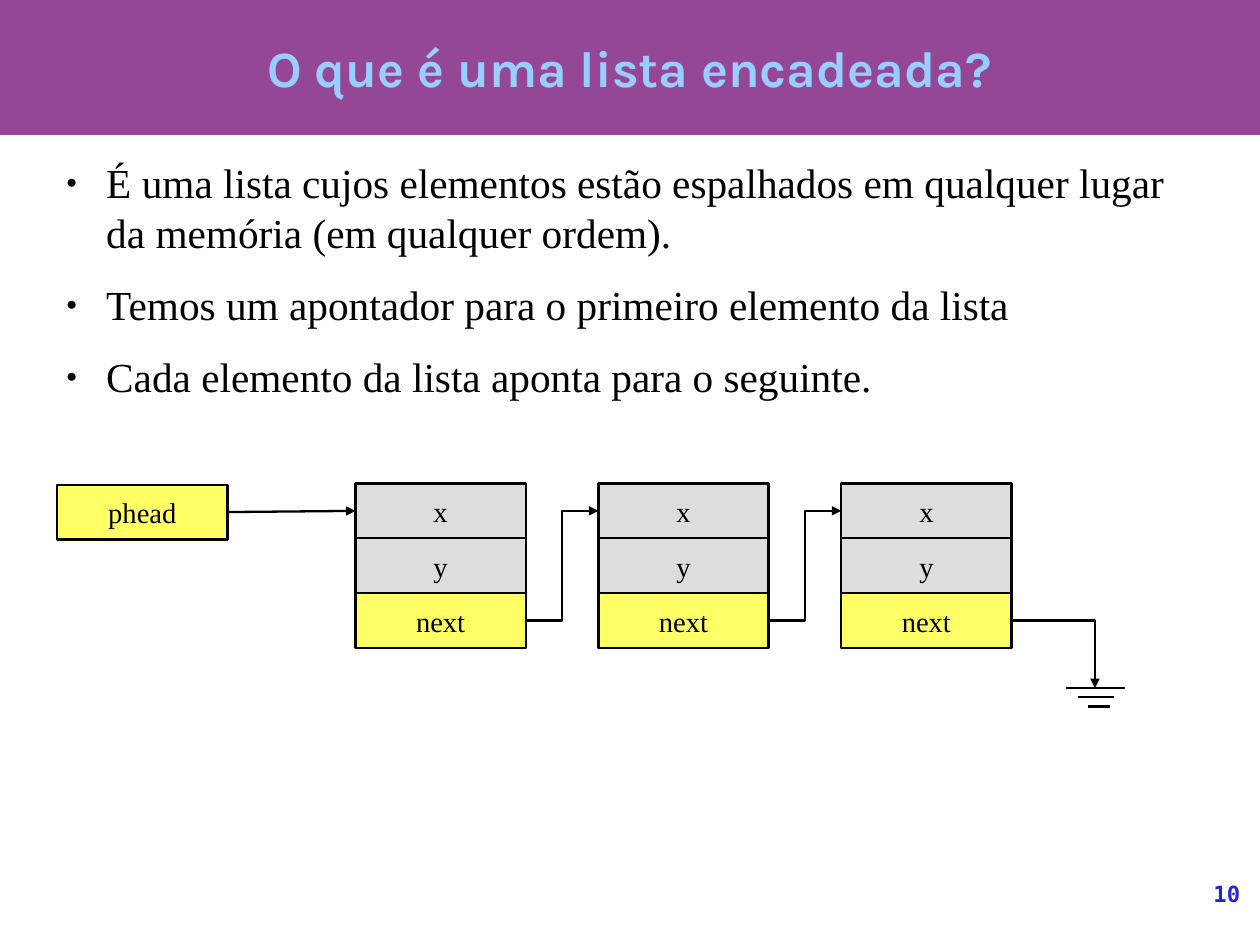
from lxml import etree
from pptx import Presentation
from pptx import util as u
from pptx.dml.color import RGBColor
from pptx.enum import shapes, text
from pptx.oxml.ns import qn

COLORS = {"band": "944794", "title": "99CCFF", "ink": "000000", "data": "DDDDDD",
          "pointer": "FFFF66", "number": "2323DC", "paper": "FFFFFF"}
SERIF = "Times New Roman"
WIDTH, HEIGHT = u.Cm(28).inches, u.Cm(21).inches
CELL_WIDTH, CELL_HEIGHT, PITCH = 1.49, 0.48, 4.25 / 2
FIELDS = [("x", "data"), ("y", "data"), ("next", "pointer")]
BULLETS = [
    "É uma lista cujos elementos estão espalhados em qualquer lugar da memória (em qualquer ordem).",
    "Temos um apontador para o primeiro elemento da lista",
    "Cada elemento da lista aponta para o seguinte.",
]


def rgb(name):
    """Return the named colour."""
    return RGBColor.from_string(COLORS[name])


def inches(*lengths):
    """Convert lengths in inches."""
    return [u.Inches(length) for length in lengths]


def style(paragraph, content, size, color, font=SERIF, bold=False, align=text.PP_ALIGN.LEFT):
    """Write a paragraph in one font."""
    paragraph.text = content
    paragraph.alignment = align
    paragraph.font.size = u.Pt(size)
    paragraph.font.name = font
    paragraph.font.bold = bold
    paragraph.font.color.rgb = rgb(color)


def add_text(slide, box):
    """Add a wrapping text box without margins and return its frame."""
    frame = slide.shapes.add_textbox(*inches(*box)).text_frame
    frame.word_wrap = True
    frame.margin_left = frame.margin_right = frame.margin_top = frame.margin_bottom = 0
    return frame


def add_box(slide, box, fill):
    """Add a flat rectangle without a line."""
    shape = slide.shapes.add_shape(shapes.MSO_SHAPE.RECTANGLE, *inches(*box))
    shape.shadow.inherit = False
    shape.fill.solid()
    shape.fill.fore_color.rgb = rgb(fill)
    shape.line.fill.background()
    return shape


def add_cell(slide, left, top, label, fill):
    """Add one labelled memory cell."""
    shape = add_box(slide, (left, top, CELL_WIDTH, CELL_HEIGHT), fill)
    shape.line.color.rgb = rgb("ink")
    shape.line.width = u.Pt(1.45)
    shape.text_frame.word_wrap = False
    shape.text_frame.vertical_anchor = text.MSO_ANCHOR.MIDDLE
    style(shape.text_frame.paragraphs[0], label, 18, "ink", align=text.PP_ALIGN.CENTER)


def add_line(slide, start, end, preset="line", arrow=True):
    """Add a straight or bent line, with an arrowhead at its end if wanted."""
    kind = shapes.MSO_CONNECTOR.STRAIGHT if preset == "line" else shapes.MSO_CONNECTOR.ELBOW
    connector = slide.shapes.add_connector(kind, *inches(*start, *end))
    connector.line.color.rgb = rgb("ink")
    connector.line.width = u.Pt(1.45)
    properties = connector._element.spPr
    properties.find(qn("a:prstGeom")).set("prst", preset)
    if arrow:
        etree.SubElement(properties.find(qn("a:ln")), qn("a:tailEnd"), type="triangle")
    etree.SubElement(properties, qn("a:effectLst"))


def add_header(slide, box):
    """Draw the title band."""
    left, top, width, height = box
    add_box(slide, box, "band")
    frame = add_text(slide, (left + width * 0.05, top, width * 0.9, height))
    frame.vertical_anchor = text.MSO_ANCHOR.MIDDLE
    style(frame.paragraphs[0], "O que é uma lista encadeada?", 32, "title", "Karla", True,
          text.PP_ALIGN.CENTER)


def add_bullets(slide, box):
    """Write the bulleted statements."""
    frame = add_text(slide, box)
    for index, content in enumerate(BULLETS):
        paragraph = frame.add_paragraph() if index else frame.paragraphs[0]
        style(paragraph, content, 26, "ink")
        paragraph.space_after = u.Pt(14.2)
        properties = paragraph._p.get_or_add_pPr()
        properties.set("marL", str(u.Inches(0.47)))
        properties.set("indent", str(u.Inches(-0.35)))
        size = etree.Element(qn("a:buSzPct"), val="45000")
        font = etree.Element(qn("a:buFont"), typeface=SERIF)
        bullet = etree.Element(qn("a:buChar"), char="●")
        properties.find(qn("a:spcAft")).addnext(size)
        size.addnext(font)
        font.addnext(bullet)


def add_ground(slide, left, top):
    """Draw the ground symbol that ends the list."""
    for row, (start, end) in enumerate([(0, 0.51), (0.1, 0.42), (0.19, 0.38)]):
        level = top + row * 0.08
        add_line(slide, (left + start, level), (left + end, level), arrow=False)


def add_linked_list(slide, box):
    """Draw the head pointer, three nodes and the ground."""
    left, top, width, height = box
    first = left + 2.61
    entry = top + CELL_HEIGHT / 2
    leave = entry + 2 * CELL_HEIGHT
    add_cell(slide, left, top + 0.01, "phead", "pointer")
    add_line(slide, (left + CELL_WIDTH, entry + 0.01), (first, entry))
    for node in range(3):
        x = first + node * PITCH
        for row, (label, fill) in enumerate(FIELDS):
            add_cell(slide, x, top + row * CELL_HEIGHT, label, fill)
        if node:
            add_line(slide, (x - PITCH + CELL_WIDTH, leave), (x, entry), "bentConnector3")
    ground = top + height - 0.16
    add_ground(slide, left + width - 0.51, ground)
    add_line(slide, (x + CELL_WIDTH, leave), (left + width - 0.26, ground), "bentConnector2")


def add_page_number(slide, box):
    """Write the page number."""
    style(add_text(slide, box).paragraphs[0], "10", 14, "number", "DejaVu Sans Mono", True,
          text.PP_ALIGN.RIGHT)


def main():
    """Build and save the slide."""
    presentation = Presentation()
    presentation.slide_width, presentation.slide_height = inches(WIDTH, HEIGHT)
    slide = presentation.slides.add_slide(presentation.slide_layouts[6])
    slide.background.fill.solid()
    slide.background.fill.fore_color.rgb = rgb("paper")
    add_header(slide, (0, -0.01, WIDTH, 1.19))
    add_bullets(slide, (0.46, 1.38, 10.04, 3.03))
    add_linked_list(slide, (0.5, 4.23, 9.34, 1.95))
    add_page_number(slide, (9.17, 7.7, 1.68, 0.57))
    presentation.save("out.pptx")


if __name__ == "__main__":
    main()
